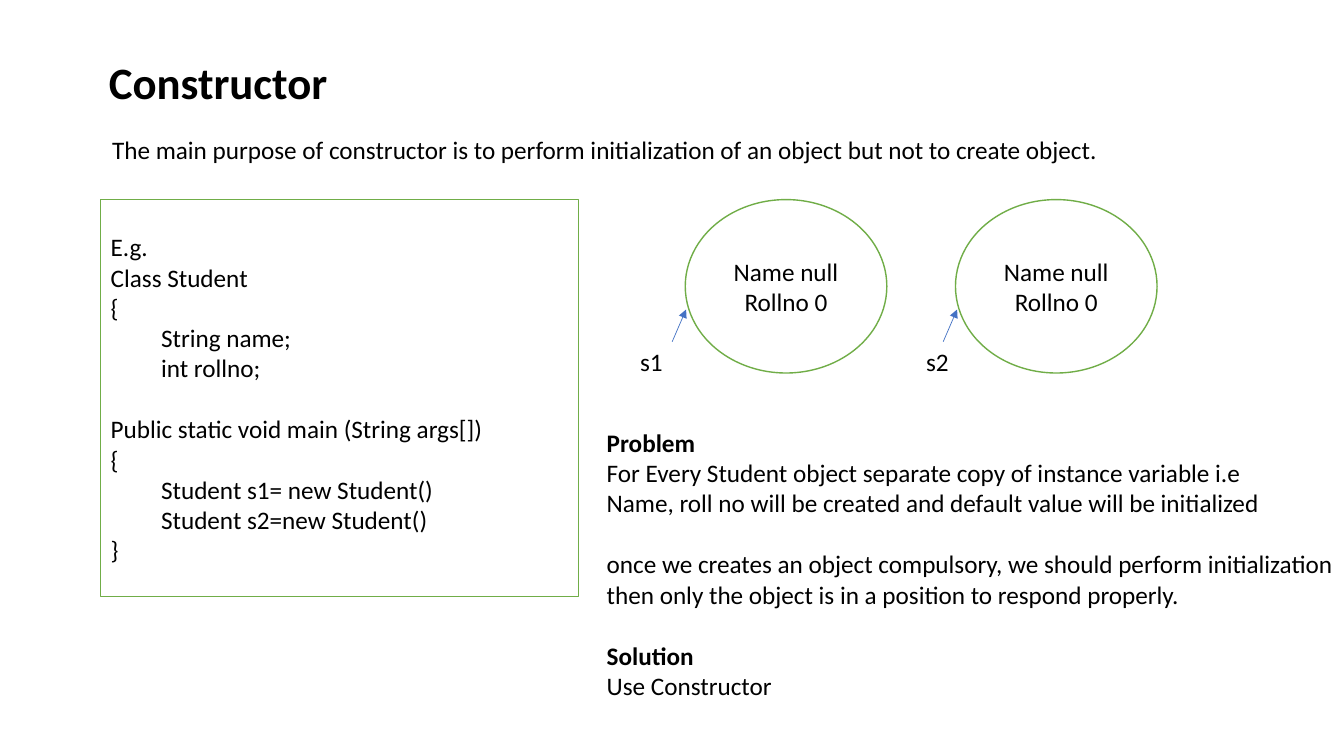
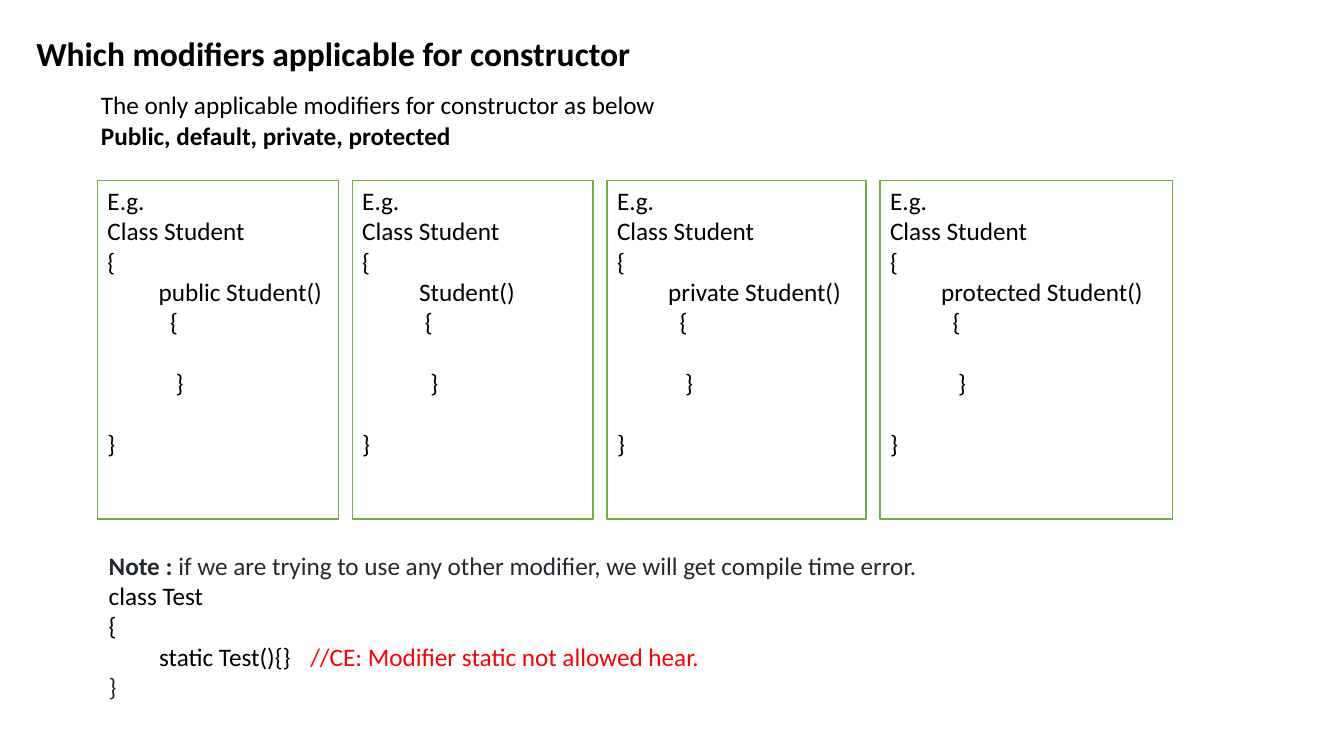
from dataclasses import dataclass
from typing import NamedTuple

from lxml import etree
from pptx import Presentation
from pptx.dml.color import RGBColor
from pptx.enum.shapes import MSO_CONNECTOR, MSO_SHAPE
from pptx.enum.text import MSO_ANCHOR, MSO_AUTO_SIZE, PP_ALIGN
from pptx.oxml.ns import qn
from pptx.util import Cm, Pt

RECTANGLE = MSO_SHAPE.RECTANGLE
CIRCLE = MSO_SHAPE.FLOWCHART_CONNECTOR
STRAIGHT = MSO_CONNECTOR.STRAIGHT
TOP, MIDDLE = MSO_ANCHOR.TOP, MSO_ANCHOR.MIDDLE
LEFT, CENTER = PP_ALIGN.LEFT, PP_ALIGN.CENTER
NO_AUTOFIT = MSO_AUTO_SIZE.NONE

COLORS = {
    "text": "000000",
    "paper": "FFFFFF",
    "outline": "70AD47",
    "arrow": "4472C4",
    "note": "24292E",
    "error": "FF0000",
}
FONT = "Calibri"
BODY_SIZE = 18
LINE_HEIGHT = Pt(22)  # one line of body text
CODE_TABS = (2.54, 6.83)  # cm from the text edge


class Area(NamedTuple):
    """Left, top, width and height in cm."""
    left: float
    top: float
    width: float
    height: float

    def lengths(self) -> tuple:
        return tuple(Cm(value) for value in self)


@dataclass(frozen=True)
class Span:
    text: str
    bold: bool = False
    color: str = "text"


@dataclass(frozen=True)
class StudentObject:
    name: str
    circle_left: float
    label_left: float
    arrow_left: float


@dataclass(frozen=True)
class ModifierSample:
    constructor: str
    width: float


def rgb(name: str) -> RGBColor:
    return RGBColor.from_string(COLORS[name])


def write(shape, lines, *, size=BODY_SIZE, bold=False, align=LEFT, anchor=TOP) -> None:
    """Write lines of strings or spans; an empty string leaves a one-line gap."""
    frame = shape.text_frame
    frame.word_wrap = True
    frame.auto_size = NO_AUTOFIT
    frame.vertical_anchor = anchor
    if align == LEFT:
        frame.margin_right = 0
    paragraph, gap = frame.paragraphs[0], 0
    for number, line in enumerate(lines):
        if not line:
            gap += LINE_HEIGHT
            continue
        if number:
            paragraph = frame.add_paragraph()
        properties = paragraph._p.get_or_add_pPr()
        properties.set("marL", "0")
        properties.set("indent", "0")
        etree.SubElement(properties, qn("a:buNone"))
        spans = [Span(line, bold)] if isinstance(line, str) else line
        if any("\t" in span.text for span in spans):
            stops = etree.SubElement(properties, qn("a:tabLst"))
            for position in CODE_TABS:
                etree.SubElement(stops, qn("a:tab"), pos=str(Cm(position)), algn="l")
        paragraph.alignment = align
        paragraph.space_before, gap = gap, 0
        for span in spans:
            run = paragraph.add_run()
            run.text = span.text
            run.font.name = FONT
            run.font.size = Pt(size)
            run.font.bold = span.bold
            run.font.color.rgb = rgb(span.color)


def place(shape, area: Area) -> None:
    shape.left, shape.top, shape.width, shape.height = area.lengths()


def add_topic(deck, title: str, title_area: Area, title_size: int, intro, intro_area: Area):
    """Add a slide with its title and introduction."""
    slide = deck.slides.add_slide(deck.slide_layouts[1])
    heading, body = slide.placeholders
    place(heading, title_area)
    write(heading, [title], size=title_size, bold=True)
    place(body, intro_area)
    write(body, intro)
    return slide


def add_text(slide, area: Area, lines) -> None:
    write(slide.shapes.add_textbox(*area.lengths()), lines)


def add_outlined(slide, kind, area: Area, lines, **text_format) -> None:
    shape = slide.shapes.add_shape(kind, *area.lengths())
    shape.shadow.inherit = False
    shape.fill.solid()
    shape.fill.fore_color.rgb = rgb("paper")
    shape.line.color.rgb = rgb("outline")
    shape.line.width = Pt(1)
    write(shape, lines, **text_format)


def add_arrow(slide, left: float, bottom: float, run: float, rise: float) -> None:
    arrow = slide.shapes.add_connector(
        STRAIGHT, Cm(left), Cm(bottom), Cm(left + run), Cm(bottom - rise))
    arrow.line.color.rgb = rgb("arrow")
    arrow.line.width = Pt(0.5)
    etree.SubElement(arrow.line._get_or_add_ln(), qn("a:tailEnd"), type="triangle")
    etree.SubElement(arrow._element.spPr, qn("a:effectLst"))


def build_constructor(deck) -> None:
    slide = add_topic(
        deck, "Constructor", Area(2.49, 1.24, 6.07, 1.63), 32,
        ["The main purpose of constructor is to perform initialization of an object "
         "but not to create object."],
        Area(2.57, 3.25, 25.65, 1.02))

    # Class that creates two objects
    row_top = 5.03
    add_outlined(slide, RECTANGLE, Area(2.54, row_top, 12.04, 10.01), [
        "E.g.", "Class Student", "{", "\tString name;", "\tint rollno;", "",
        "Public static void main (String args[])", "{",
        "\tStudent s1= new Student()", "\tStudent s2=new Student()", "}",
    ], anchor=MIDDLE)

    # Objects and their references
    label_top = 8.61
    for student in (StudentObject("s1", 17.27, 15.88, 16.94),
                    StudentObject("s2", 24.08, 23.09, 23.77)):
        add_outlined(slide, CIRCLE, Area(student.circle_left, row_top, 5.08, 4.37),
                     ["Name null", "Rollno 0"], align=CENTER, anchor=MIDDLE)
        add_text(slide, Area(student.label_left, label_top, 1.5, 1.02), [student.name])
        add_arrow(slide, student.arrow_left, label_top, 0.35, 0.81)

    # Problem and solution
    add_text(slide, Area(15.04, 10.64, 18.8, 7.19), [
        [Span("Problem", bold=True)],
        "For Every Student object separate copy of instance variable i.e",
        "Name, roll no will be created and default value will be initialized",
        "",
        "once we creates an object compulsory, we should perform initialization",
        "then only the object is in a position to respond properly.",
        "",
        [Span("Solution", bold=True)],
        "Use Constructor",
    ])


def build_modifiers(deck) -> None:
    slide = add_topic(
        deck, "Which modifiers applicable for constructor",
        Area(0.66, 0.71, 15.62, 1.27), 24,
        ["The only applicable modifiers for constructor as below",
         [Span("Public, default, private, protected", bold=True)]],
        Area(2.29, 2.13, 14.66, 1.8))

    # One class per modifier
    left, gap = 2.46, 0.35
    for sample in (ModifierSample("         public Student()", 6.07),
                   ModifierSample("          Student()", 6.07),
                   ModifierSample("         private Student()", 6.53),
                   ModifierSample("         protected Student()", 7.37)):
        add_outlined(slide, RECTANGLE, Area(left, 4.55, sample.width, 8.53), [
            "E.g.", "Class Student", "{", sample.constructor,
            "           {", "", "            }", "", "}",
        ])
        left += sample.width + gap

    # Note on other modifiers
    add_text(slide, Area(2.49, 13.74, 23.8, 4.88), [
        [Span("Note : ", bold=True, color="note"),
         Span("if we are trying to use any other modifier, we will get compile time error.",
              color="note")],
        "class Test",
        "{",
        [Span("\tstatic Test(){}\t"),
         Span("//CE: Modifier static not allowed hear.", color="error")],
        [Span("}", color="note")],
    ])


def main() -> None:
    deck = Presentation()
    deck.slide_width, deck.slide_height = Cm(33.87), Cm(19.05)
    build_constructor(deck)
    build_modifiers(deck)
    deck.save("out.pptx")


if __name__ == "__main__":
    main()
